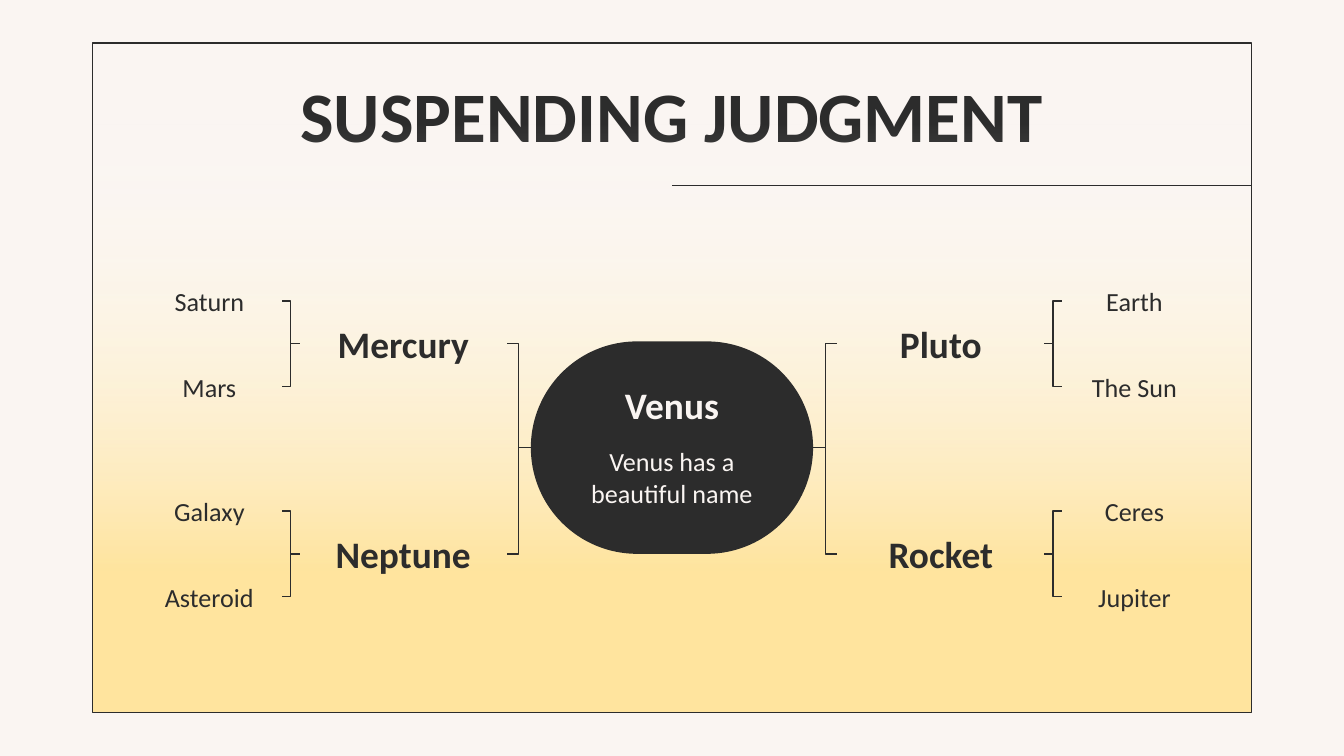
from lxml.etree import SubElement
from pptx import Presentation
from pptx.dml.color import RGBColor as RGB
from pptx.enum.shapes import MSO_CONNECTOR as CONN, MSO_SHAPE as SHAPE
from pptx.enum.text import MSO_ANCHOR as ANCHOR, PP_ALIGN as ALIGN
from pptx.oxml import parse_xml
from pptx.oxml.ns import nsdecls, qn
from pptx.util import Pt

# Content: side -1 is left of the core, +1 is right
TITLE = "SUSPENDING JUDGMENT"
CORE = ("Venus", "Venus has a beautiful name")
BRANCHES = [
    # side, row, heading, leaves
    (1, 0, "Pluto", ("Earth", "The Sun")),
    (1, 1, "Rocket", ("Ceres", "Jupiter")),
    (-1, 0, "Mercury", ("Saturn", "Mars")),
    (-1, 1, "Neptune", ("Galaxy", "Asteroid")),
]

THEME = dict(font="Calibri", ink="2C2C2C", paper="FAF5F2", glow="FFE49E",
             title=38, heading=20, body=14, line=0.75)

# Layout in points
W, H = 720, 405
MID_X, MID_Y = W / 2, 239.8
FRAME = (49.5, 23, 621, 358.6)
GLOW_TOP = 66.2
RULE_Y = 99.4
CORE_W, CORE_H = 151.2, 113.8
ROWS = (184.2, 296.8)
HEAD_X, HEAD_W, HEAD_H = 88.6, 110.8, 35.2   # x is the distance from MID_X
LEAF_X, LEAF_W, LEAF_H = 209, 77.6, 27.4
LEAF_DY = 22.9

prs = Presentation()
prs.slide_width, prs.slide_height = Pt(W), Pt(H)
s = prs.slides.add_slide(prs.slide_layouts[5])
s.background.fill.solid()
s.background.fill.fore_color.rgb = RGB.from_string(THEME["paper"])


def add_shape(kind, x, y, w, h, fill=None, line=None):
    sp = s.shapes.add_shape(kind, Pt(x), Pt(y), Pt(w), Pt(h))
    sp.shadow.inherit = False
    if fill:
        sp.fill.solid()
        sp.fill.fore_color.rgb = RGB.from_string(fill)
    else:
        sp.fill.background()
    if line:
        sp.line.color.rgb = RGB.from_string(line)
        sp.line.width = Pt(THEME["line"])
    else:
        sp.line.fill.background()
    return sp


def add_line(kind, x1, y1, x2, y2):
    c = s.shapes.add_connector(kind, Pt(x1), Pt(y1), Pt(x2), Pt(y2))
    c.line.color.rgb = RGB.from_string(THEME["ink"])
    c.line.width = Pt(THEME["line"])
    SubElement(c._element.spPr, qn("a:effectLst"))


def set_text(sp, text, size, color, bold=False):
    tf = sp.text_frame
    tf.word_wrap = True
    tf.vertical_anchor = ANCHOR.MIDDLE
    tf.margin_left = tf.margin_right = tf.margin_top = tf.margin_bottom = Pt(7.2)
    tf.text = text
    p = tf.paragraphs[0]
    p.alignment = ALIGN.CENTER
    p.font.name, p.font.size, p.font.bold = THEME["font"], Pt(size), bold
    p.font.color.rgb = RGB.from_string(color)


def add_label(text, cx, cy, w, h, size, color=THEME["ink"], bold=False):
    sp = s.shapes.add_textbox(Pt(cx - w / 2), Pt(cy - h / 2), Pt(w), Pt(h))
    set_text(sp, text, size, color, bold)


# Backdrop: glow rising from the bottom, frame and rule
left, top, width, height = FRAME
glow = add_shape(SHAPE.RECTANGLE, left, GLOW_TOP, width, top + height - GLOW_TOP)
no_fill = glow._element.spPr.find(qn("a:noFill"))
no_fill.getparent().replace(no_fill, parse_xml(
    f'<a:gradFill {nsdecls("a")} rotWithShape="1"><a:gsLst>'
    '<a:gs pos="0"><a:srgbClr val="FFFFFF"><a:alpha val="0"/></a:srgbClr></a:gs>'
    f'<a:gs pos="76000"><a:srgbClr val="{THEME["glow"]}"/></a:gs>'
    f'<a:gs pos="100000"><a:srgbClr val="{THEME["glow"]}"/></a:gs>'
    '</a:gsLst><a:lin ang="5400000" scaled="0"/></a:gradFill>'))
add_shape(SHAPE.RECTANGLE, *FRAME, line=THEME["ink"])
add_line(CONN.STRAIGHT, MID_X, RULE_Y, left + width, RULE_Y)

# Title
title = s.shapes.title
title.left, title.top, title.width, title.height = Pt(57.4), Pt(38.2), Pt(605.2), Pt(45.4)
set_text(title, TITLE, THEME["title"], THEME["ink"], bold=True)

# Core
core = add_shape(SHAPE.ROUNDED_RECTANGLE, MID_X - CORE_W / 2, MID_Y - CORE_H / 2,
                 CORE_W, CORE_H, fill=THEME["ink"])
core.adjustments[0] = 0.5
name, note = CORE
add_label(name, MID_X, 216.7, 113, 28.8, THEME["heading"], THEME["paper"], bold=True)
add_label(note, MID_X, 255.6, 113, 37.4, THEME["body"], THEME["paper"])

# Branches, mirrored around the core
for side, row, heading, leaves in BRANCHES:
    y = ROWS[row]
    core_edge, head_in, head_out, leaf_in = (
        MID_X + side * d for d in (CORE_W / 2, HEAD_X, HEAD_X + HEAD_W, LEAF_X))
    add_line(CONN.ELBOW, core_edge, MID_Y, head_in, y)
    add_label(heading, (head_in + head_out) / 2, y, HEAD_W, HEAD_H,
              THEME["heading"], bold=True)
    for leaf, dy in zip(leaves, (-LEAF_DY, LEAF_DY)):
        add_line(CONN.ELBOW, head_out, y, leaf_in, y + dy)
        add_label(leaf, leaf_in + side * LEAF_W / 2, y + dy, LEAF_W, LEAF_H, THEME["body"])

prs.save("out.pptx")
